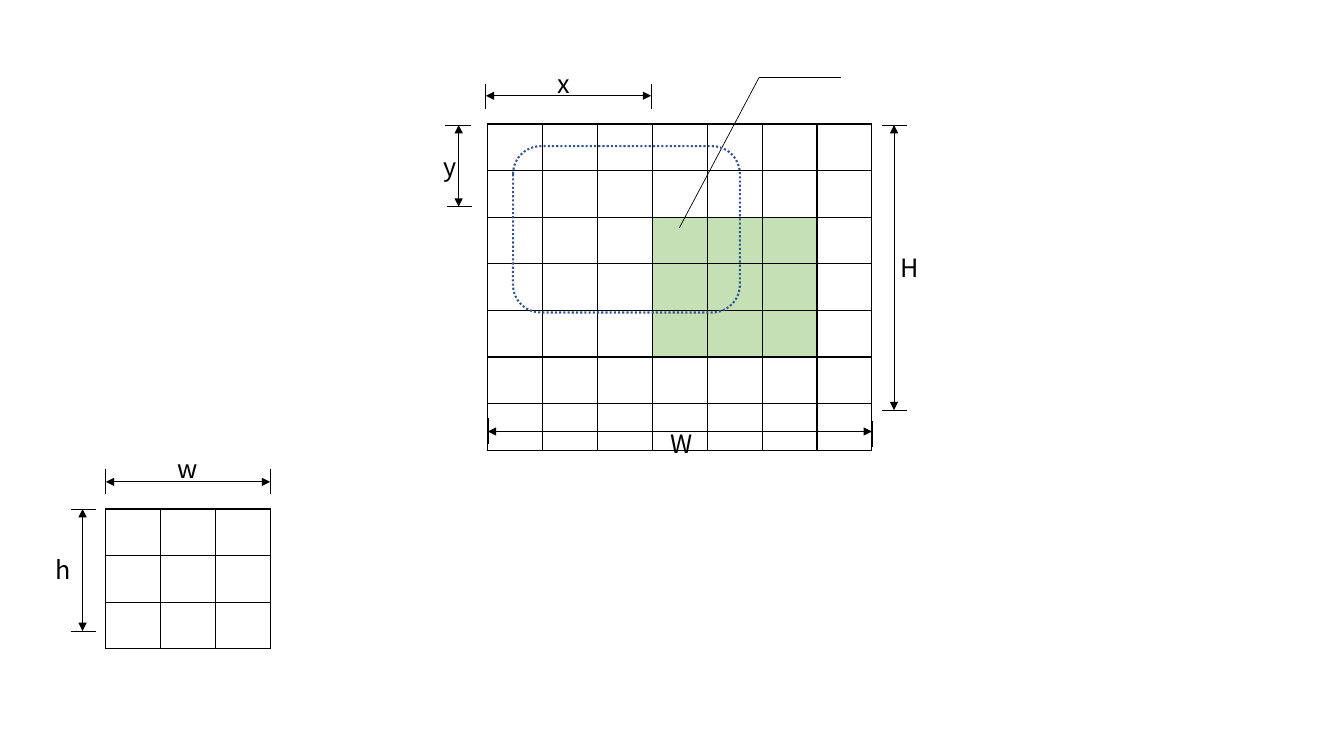
"""Build a slide showing a w by h window placed at (x, y) in a W by H grid."""
from itertools import product

from lxml.etree import SubElement
from pptx import Presentation
from pptx.dml.color import RGBColor
from pptx.enum.dml import MSO_LINE
from pptx.enum.shapes import MSO_CONNECTOR, MSO_SHAPE
from pptx.enum.text import MSO_AUTO_SIZE
from pptx.oxml import parse_xml
from pptx.oxml.ns import nsdecls, qn
from pptx.util import Pt

BLACK = RGBColor(0x00, 0x00, 0x00)
GREEN = RGBColor(0xC5, 0xE0, 0xB4)
BLUE = RGBColor(0x32, 0x54, 0x91)
FONT = "Noto Sans CJK SC"
CELL_WIDTH, CELL_HEIGHT = 39.2, 29.2
TICK = 18

deck = Presentation()
deck.slide_width, deck.slide_height = Pt(960), Pt(540)
page = deck.slides.add_slide(deck.slide_layouts[6])


def add_grid(left, top, count, shaded):
    frame = page.shapes.add_table(count, count, Pt(left), Pt(top),
                                  Pt(count * CELL_WIDTH), Pt(count * CELL_HEIGHT))
    table = frame.table
    table.first_row = table.horz_banding = False
    for column in table.columns:
        column.width = Pt(CELL_WIDTH)
    for row in table.rows:
        row.height = Pt(CELL_HEIGHT)
    for position in product(range(count), repeat=2):
        cell = table.cell(*position)
        para = cell.text_frame.paragraphs[0]
        para._p.append(parse_xml(
            f'<a:endParaRPr {nsdecls("a")} sz="1800">'
            f'<a:latin typeface="{FONT}"/><a:ea typeface="{FONT}"/></a:endParaRPr>'))
        properties = cell._tc.get_or_add_tcPr()
        for side in ("lnL", "lnR", "lnT", "lnB"):
            properties.append(parse_xml(
                f'<a:{side} {nsdecls("a")} w="{Pt(1)}"><a:solidFill>'
                f'<a:srgbClr val="{BLACK}"/></a:solidFill></a:{side}>'))
        if position in shaded:
            cell.fill.solid()
            cell.fill.fore_color.rgb = GREEN
        else:
            cell.fill.background()


def add_line(start, end, arrows=False):
    line = page.shapes.add_connector(MSO_CONNECTOR.STRAIGHT,
                                     *(Pt(value) for value in (*start, *end)))
    line.line.color.rgb = BLACK
    line.line.width = Pt(0.5)
    if arrows:
        outline = line.line._get_or_add_ln()
        for tag in ("a:headEnd", "a:tailEnd"):
            SubElement(outline, qn(tag), type="triangle")
    SubElement(line._element.spPr, qn("a:effectLst"))


add_grid(348.5, 88.6, 7, set(product(range(2, 5), range(3, 6))))
add_grid(75.6, 363.6, 3, set())

add_line((485.3, 162.7), (542.2, 55.4))
add_line((600.5, 55.4), (542.2, 55.4))

dimensions = [
    ("w", "across", 75.6, 193, 344.2, (334.8, 334.8), (119.5, 320.4, 27.4)),
    ("h", "down", 363.6, 450.7, 59, (50.4, 50.4), (32.4, 392.4, 24.5)),
    ("W", "across", 348.5, 622.8, 308.2, (298.8, 301), (471.6, 302.4, 31)),
    ("H", "down", 89.3, 293, 638.6, (630, 630), (635.8, 176.4, 27.4)),
    ("x", "across", 347, 465.1, 68.4, (59.8, 59.8), (391, 45.4, 22.3)),
    ("y", "down", 89.3, 147.6, 327.6, (318.2, 319), (309.6, 104.4, 23)),
]
for label, direction, first, last, level, ticks, (left, top, width) in dimensions:
    step = 1 if direction == "across" else -1
    for place, tick in zip((first, last), ticks):
        add_line((place, tick)[::step], (place, tick + TICK)[::step])
    add_line((first, level)[::step], (last, level)[::step], arrows=True)
    box = page.shapes.add_textbox(Pt(left), Pt(top), Pt(width), Pt(29))
    box.text_frame.word_wrap = False
    box.text_frame.auto_size = MSO_AUTO_SIZE.SHAPE_TO_FIT_TEXT
    span = box.text_frame.paragraphs[0].add_run()
    span.text = label
    span.font.name = FONT
    span.font.size = Pt(18)
    span.font.color.rgb = BLACK

region = page.shapes.add_shape(MSO_SHAPE.ROUNDED_RECTANGLE,
                               Pt(366.5), Pt(104.4), Pt(162), Pt(118.8))
region.shadow.inherit = False
region.fill.background()
region.line.color.rgb = BLUE
region.line.width = Pt(1.5)
region.line.dash_style = MSO_LINE.ROUND_DOT

deck.save("out.pptx")
